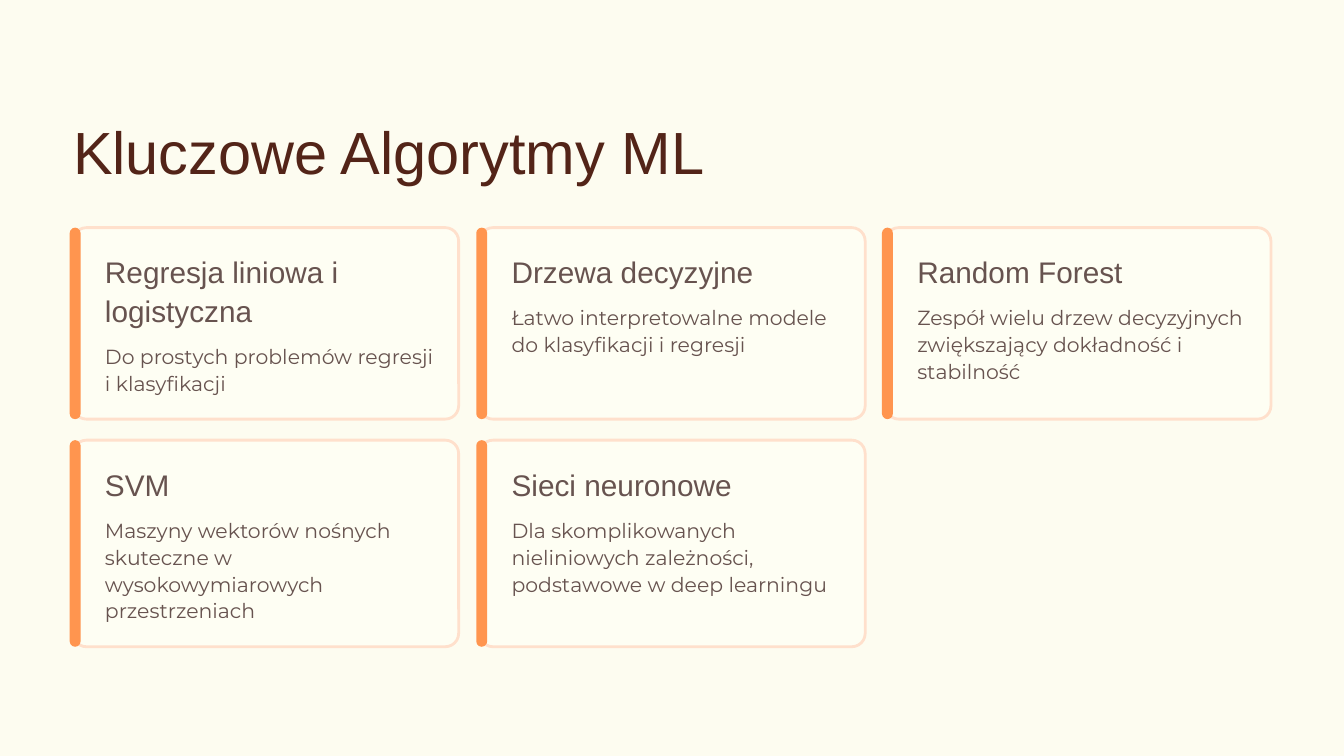
from lxml import etree
from pptx import Presentation
from pptx import util as u
from pptx.dml.color import RGBColor
from pptx.enum import shapes, text
from pptx.oxml import ns

COLORS = {"page": "FDFCF0", "card": "FFFFF4", "edge": "FFE0CC",
          "bar": "FF954F", "title": "532418", "text": "67534F"}
COLS = (0.87, 5.71, 10.54)
ROWS = ((2.71, 2.28), (5.24, 2.46))
LINE = 0.46
CARDS = (
    ("Regresja liniowa i logistyczna", 2,
     "Do prostych problemów regresji i klasyfikacji", 0.64),
    ("Drzewa decyzyjne", 1,
     "Łatwo interpretowalne modele do klasyfikacji i regresji", 0.64),
    ("Random Forest", 1,
     "Zespół wielu drzew decyzyjnych zwiększający dokładność i stabilność", 0.97),
    ("SVM", 1,
     "Maszyny wektorów nośnych skuteczne w wysokowymiarowych przestrzeniach", 1.29),
    ("Sieci neuronowe", 1,
     "Dla skomplikowanych nieliniowych zależności, podstawowe w deep learningu", 0.97),
)


class Deck:
    """Holds the style and the current slide, and draws its elements."""

    def __init__(self):
        self.prs = Presentation()
        self.prs.slide_width = u.Inches(16)
        self.prs.slide_height = u.Inches(9)
        self.slide = self.prs.slides.add_slide(self.prs.slide_layouts[5])
        self.paint(self.slide.background.fill, "page")

    def paint(self, fill, name):
        fill.solid()
        fill.fore_color.rgb = RGBColor.from_string(COLORS[name])

    def typeset(self, shape, words, font, size, lead, color, wrap=True):
        frame = shape.text_frame
        frame.text = words
        frame.auto_size = text.MSO_AUTO_SIZE.NONE
        frame.word_wrap = wrap
        frame.vertical_anchor = text.MSO_ANCHOR.TOP
        frame.margin_left = frame.margin_right = 0
        frame.margin_top = frame.margin_bottom = 0
        para = frame.paragraphs[0]
        para.alignment = text.PP_ALIGN.LEFT
        para.line_spacing = u.Pt(lead)
        para.font.name = font
        para.font.size = u.Pt(size)
        para.font.color.rgb = RGBColor.from_string(COLORS[color])

    def title(self, words, *box):
        shape = self.slide.shapes.title
        shape.left, shape.top, shape.width, shape.height = map(u.Inches, box)
        self.typeset(shape, words, "Arial", 51, 66.5, "title", wrap=False)

    def label(self, words, box, *style):
        shape = self.slide.shapes.add_textbox(*map(u.Inches, box))
        self.typeset(shape, words, *style)

    def panel(self, box, fill, curve):
        shape = self.slide.shapes.add_shape(
            shapes.MSO_SHAPE.ROUNDED_RECTANGLE, *map(u.Inches, box))
        shape.shadow.inherit = False
        shape.adjustments[0] = curve
        self.paint(shape.fill, fill)
        shape.line.fill.background()
        return shape

    def card(self, x, y, high, head, lines, body, tall):
        base = self.panel((x, y, 4.59, high), "card", 0.16 / high)
        self.paint(base.line.fill, "edge")
        base.line.width = u.Pt(2.4)
        tint = base.element.spPr.find(ns.qn("a:solidFill"))[0]
        etree.SubElement(tint, ns.qn("a:alpha"), val="95000")
        self.panel((x - 0.04, y, 0.13, high), "bar", 0.5)
        left = x + 0.38
        self.label(head, (left, y + 0.28, 3.93, LINE * lines),
                   "Arial", 25.5, 33, "text")
        self.label(body, (left, y + 0.44 + LINE * lines, 3.93, tall),
                   "Montserrat", 17.5, 23, "text")


def main():
    deck = Deck()
    deck.title("Kluczowe Algorytmy ML", 0.87, 1.29, 7.97, 0.93)
    for i, card in enumerate(CARDS):
        row, col = divmod(i, len(COLS))
        deck.card(COLS[col], *ROWS[row], *card)
    deck.prs.save("out.pptx")


if __name__ == "__main__":
    main()
